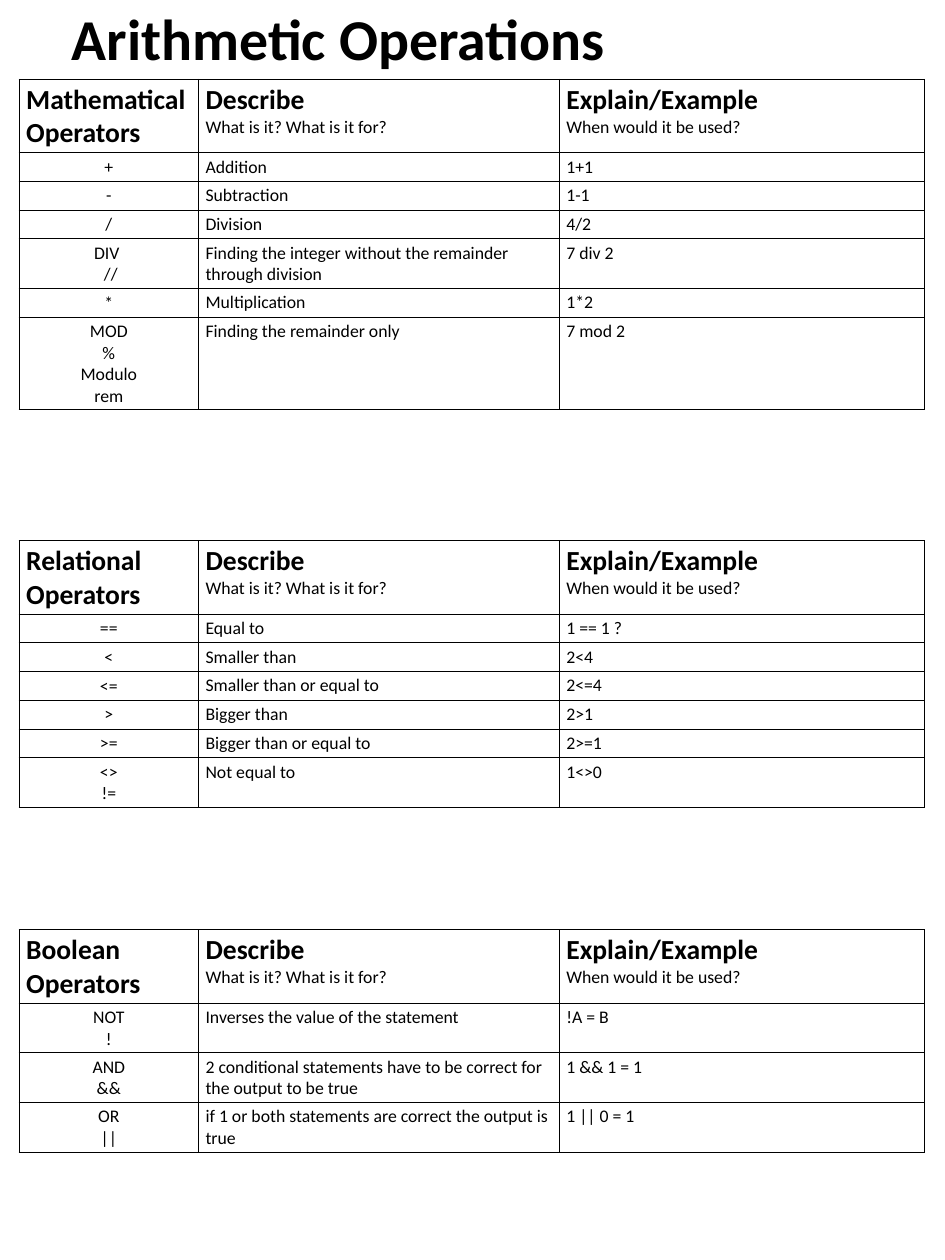
from lxml import etree
from pptx import Presentation
from pptx.dml.color import RGBColor
from pptx.enum import text
from pptx.oxml import ns
from pptx.util import Pt

COLOURS = {"ink": "000000", "paper": "FFFFFF"}
FONT = "Calibri"
LEFT = 19.44
COLUMN_WIDTHS = [182.2, 366.5, 371.5]
ROW_HEIGHT = 29.2
DESCRIBE = "Describe\nWhat is it? What is it for?"
EXPLAIN = "Explain/Example\nWhen would it be used?"

# Each table: top edge, heading, rows of operator, description and example
TABLES = [
    (80.64, "Mathematical Operators", [
        ("+", "Addition", "1+1"),
        ("-", "Subtraction", "1-1"),
        ("/", "Division", "4/2"),
        ("DIV \n //", "Finding the integer without the remainder through division", "7 div 2"),
        ("*", "Multiplication", "1*2"),
        ("MOD\n%\nModulo\nrem", "Finding the remainder only", "7 mod 2"),
    ]),
    (549.36, "Relational Operators", [
        ("==", "Equal to", "1 == 1 ?"),
        ("<", "Smaller than", "2<4"),
        ("<=", "Smaller than or equal to", "2<=4"),
        (">", "Bigger than", "2>1"),
        (">=", "Bigger than or equal to", "2>=1"),
        ("<>\n!=", "Not equal to", "1<>0"),
    ]),
    (944.64, "Boolean Operators", [
        ("NOT\n!", "Inverses the value of the statement", "!A = B"),
        ("AND\n&&", "2 conditional statements have to be correct for the output to be true", "1 && 1 = 1"),
        ("OR\n||", "if 1 or both statements are correct the output is true", "1 || 0 = 1"),
    ]),
]


def style_paragraph(para, size, bold):
    for span in para.runs:
        span.font.name = FONT
        span.font.size = Pt(size)
        span.font.bold = bold
        span.font.color.rgb = RGBColor.from_string(COLOURS["ink"])


def draw_borders(cell):
    properties = cell._tc.get_or_add_tcPr()
    for position, side in enumerate(("lnL", "lnR", "lnT", "lnB")):
        line = etree.Element(ns.qn(f"a:{side}"), w=str(Pt(1)))
        fill = etree.SubElement(line, ns.qn("a:solidFill"))
        etree.SubElement(fill, ns.qn("a:srgbClr"), val=COLOURS["ink"])
        properties.insert(position, line)


deck = Presentation()
deck.slide_width, deck.slide_height = Pt(960), Pt(1280)
page = deck.slides.add_slide(deck.slide_layouts[6])
page.background.fill.solid()
page.background.fill.fore_color.rgb = RGBColor.from_string(COLOURS["paper"])

title = page.shapes.add_textbox(Pt(66), Pt(5), Pt(828), Pt(75.6)).text_frame
title.word_wrap = True
title.vertical_anchor = text.MSO_ANCHOR.MIDDLE
title.text = "Arithmetic Operations"
title.paragraphs[0].line_spacing = 0.9
style_paragraph(title.paragraphs[0], 58.7, True)

for top, heading, operators in TABLES:
    rows = [(heading, DESCRIBE, EXPLAIN), *operators]
    table = page.shapes.add_table(
        len(rows), len(COLUMN_WIDTHS), Pt(LEFT), Pt(top),
        Pt(sum(COLUMN_WIDTHS)), Pt(ROW_HEIGHT * len(rows))).table
    table.first_row = table.horz_banding = False
    for column, width in zip(table.columns, COLUMN_WIDTHS):
        column.width = Pt(width)

    for row_number, row in enumerate(rows):
        table.rows[row_number].height = Pt(ROW_HEIGHT)
        for column_number, wording in enumerate(row):
            cell = table.cell(row_number, column_number)
            cell.fill.background()
            draw_borders(cell)
            cell.text_frame.text = wording
            is_operator = row_number > 0 and column_number == 0
            if is_operator:
                cell.vertical_anchor = text.MSO_ANCHOR.MIDDLE
            for line_number, para in enumerate(cell.text_frame.paragraphs):
                is_heading = row_number == 0 and line_number == 0
                style_paragraph(para, 28 if is_heading else 18, is_heading)
                if is_operator:
                    para.alignment = text.PP_ALIGN.CENTER

deck.save("out.pptx")
